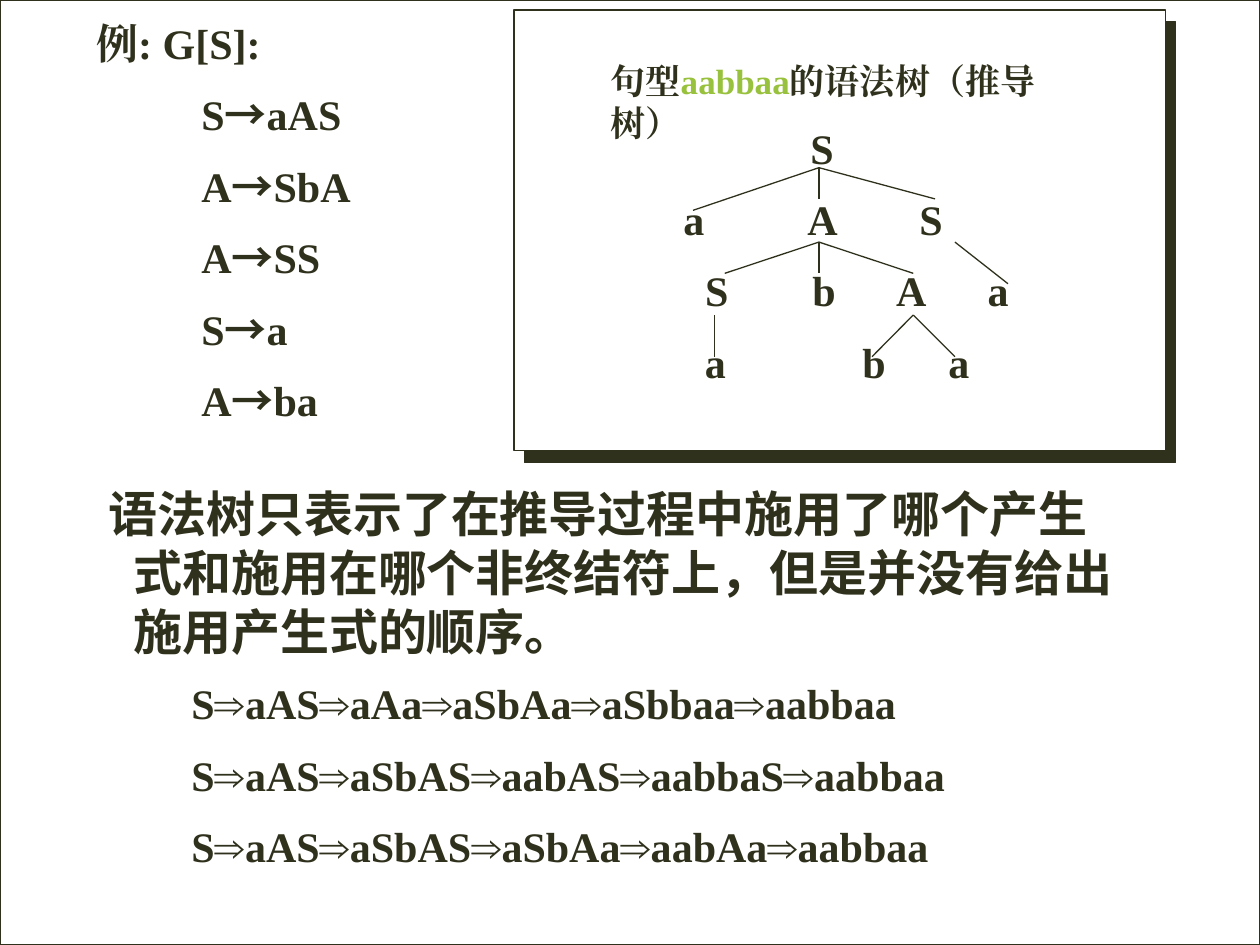
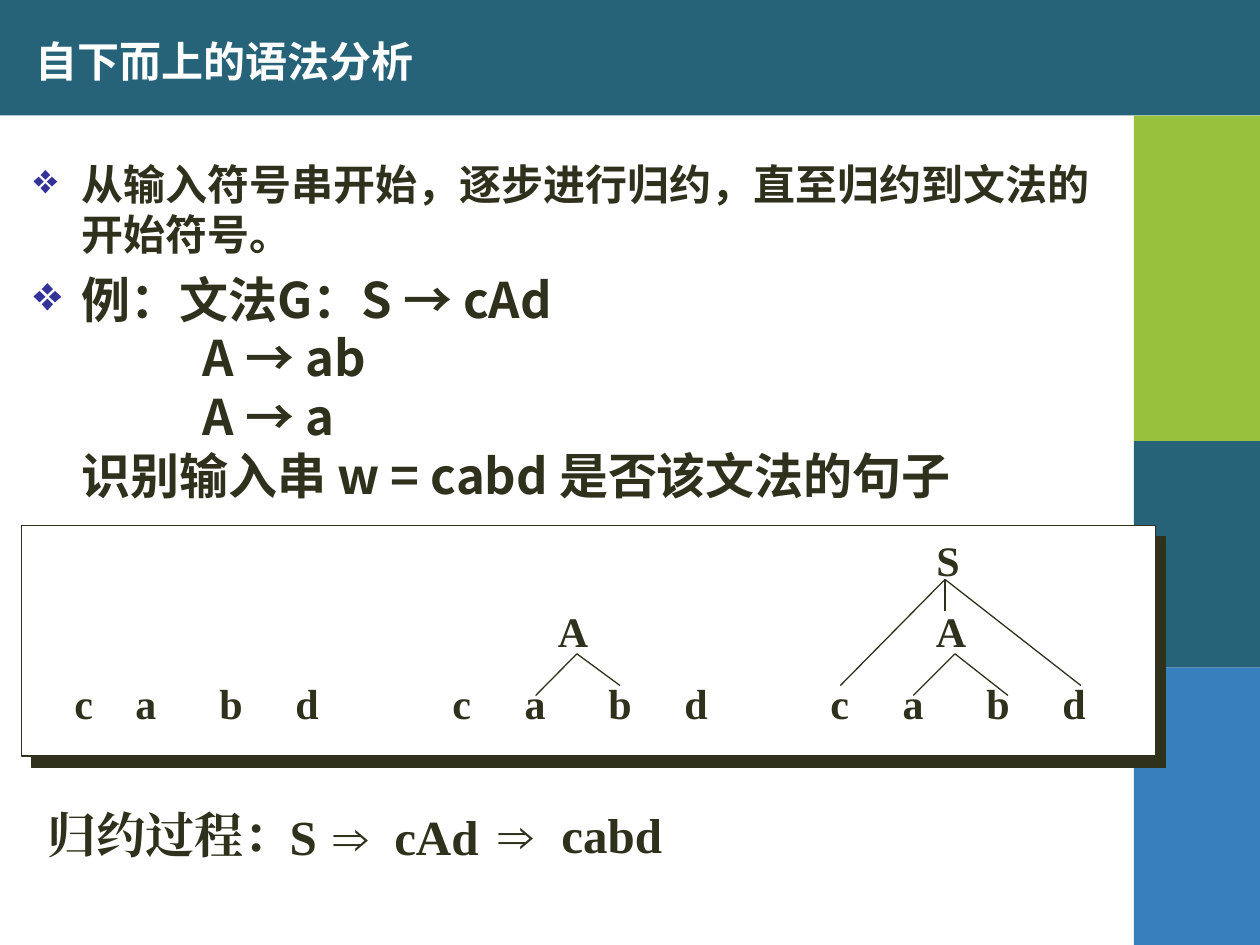
from dataclasses import dataclass

from lxml import etree
from pptx import Presentation
from pptx.dml.color import RGBColor
from pptx.enum import shapes, text
from pptx.oxml import ns
from pptx.util import Cm, Pt


@dataclass(frozen=True)
class Theme:
    ink: str = "30311D"
    white: str = "FFFFFF"
    teal: str = "266378"
    green: str = "98C13D"
    blue: str = "3780BD"
    bullet: str = "333399"
    sans: str = "Noto Sans CJK SC"
    serif: str = "Times New Roman"
    large: int = 28
    medium: int = 24
    small: int = 20
    leading: float = 1.2
    line: float = 0.75


T = Theme()
ROW = 1.44
STEP = 7.62


def rgb(value):
    return RGBColor.from_string(value)


def sub(parent, tag, **attrs):
    return etree.SubElement(parent, ns.qn(tag), attrs)


def rect(slide, left, top, width, height, fill, line=None):
    sp = slide.shapes.add_shape(
        shapes.MSO_SHAPE.RECTANGLE, Cm(left), Cm(top), Cm(width), Cm(height))
    sp.shadow.inherit = False
    sp.fill.solid()
    sp.fill.fore_color.rgb = rgb(fill)
    if line:
        sp.line.color.rgb = rgb(line)
        sp.line.width = Pt(T.line)
    else:
        sp.line.fill.background()
    return sp


def panel(slide, left, top, width, height):
    sp = rect(slide, left, top, width, height, T.white, T.ink)
    effects = sp._element.spPr.find(ns.qn("a:effectLst"))
    shadow = sub(effects, "a:outerShdw", dist=str(Pt(9)), dir=str(48 * 60000),
                 algn="ctr", rotWithShape="0")
    sub(shadow, "a:srgbClr", val=T.ink)


def edge(slide, x1, y1, x2, y2):
    cxn = slide.shapes.add_connector(
        shapes.MSO_CONNECTOR.STRAIGHT, Cm(x1), Cm(y1), Cm(x2), Cm(y2))
    cxn.line.color.rgb = rgb(T.ink)
    cxn.line.width = Pt(T.line)
    sub(cxn._element.spPr, "a:effectLst")


def textbox(slide, left, top, width, height, wrap=True):
    tf = slide.shapes.add_textbox(Cm(left), Cm(top), Cm(width), Cm(height)).text_frame
    tf.word_wrap = wrap
    return tf


def set_face(font, face):
    font.name = face
    sub(font._rPr, "a:ea", typeface=face)


def paragraph(tf, content, size, face=T.serif, color=T.ink, before=0.0,
              margin=0.0, indent=0.0, bullet=None):
    p = tf.paragraphs[0]
    if p.runs:
        p = tf.add_paragraph()
        p.space_before = Pt(size * before)
    p.line_spacing = Pt(size * T.leading)
    for part in [content] if isinstance(content, str) else content:
        p.add_run().text = part
    font = p.font
    font.size, font.bold = Pt(size), True
    font.color.rgb = rgb(color)
    set_face(font, face)
    pPr = p._p.get_or_add_pPr()
    pPr.set("marL", str(Cm(margin)))
    pPr.set("indent", str(Cm(indent)))
    if bullet:
        marks = etree.Element(ns.qn("a:pPr"))
        sub(sub(marks, "a:buClr"), "a:srgbClr", val=T.bullet)
        sub(marks, "a:buChar", char=bullet)
        for mark in list(marks):
            font._rPr.addprevious(mark)
    return p


def tree(slide, left, top, rows, branches):
    for row, nodes in enumerate(rows):
        for name, x in nodes:
            tf = textbox(slide, left + x - 0.6, top + row * ROW - 0.55, 1.2, 1)
            tf.margin_left = tf.margin_right = 0
            tf.margin_top = tf.margin_bottom = 0
            tf.vertical_anchor = text.MSO_ANCHOR.MIDDLE
            paragraph(tf, name, T.medium).alignment = text.PP_ALIGN.CENTER
    for (x, y), ends in branches:
        for end_x, end_y in ends:
            edge(slide, left + x, top + y, left + end_x, top + end_y)


def frame(slide):
    for left, top, width, height, fill in (
            (0, 0, 25.4, 2.33, T.teal),
            (22.86, 8.89, 2.54, 4.57, T.teal),
            (22.86, 13.46, 2.54, 5.59, T.blue),
            (22.86, 2.33, 2.54, 6.56, T.green)):
        rect(slide, left, top, width, height, fill)


def title(slide, content):
    tf = textbox(slide, 0.46, 0.55, 19.7, 1.35)
    tf.vertical_anchor = text.MSO_ANCHOR.MIDDLE
    paragraph(tf, content, T.medium, T.sans, T.white)


def grammar(slide, left, top):
    tf = textbox(slide, left, top, 7.82, 8.86)
    paragraph(tf, "例: G[S]:", T.medium, margin=0.42)
    for head, body in (("S", "aAS"), ("A", "SbA"), ("A", "SS"), ("S", "a"), ("A", "ba")):
        p = paragraph(tf, (head, "→", body), T.medium, before=0.5, margin=2.54)
        set_face(p.runs[1].font, T.sans)


def syntax_tree(slide, left, top):
    panel(slide, left, top, 13.13, 8.89)
    tf = textbox(slide, left + 1.7, top + 0.87, 10.16, 1.1)
    p = paragraph(tf, ("句型", "aabbaa", "的语法树（推导树）"), T.small)
    p.runs[1].font.color.rgb = rgb(T.green)
    rows = (
        (("S", 6.21),),
        (("a", 3.63), ("A", 6.22), ("S", 8.41)),
        (("S", 4.09), ("b", 6.25), ("A", 8.01), ("a", 9.76)),
        (("a", 4.06), ("b", 7.26), ("a", 8.97)))
    branches = (
        ((6.15, 0.36), ((6.15, 0.99), (3.61, 1.22), (8.49, 0.99))),
        ((6.15, 1.86), ((6.15, 2.49), (4.25, 2.49), (8.05, 2.49))),
        ((8.89, 1.86), ((9.96, 2.7),)),
        ((4.04, 3.33), ((4.04, 4.17),)),
        ((8.05, 3.33), ((7.22, 4.17), (8.89, 4.17))))
    tree(slide, left, top + 2.82, rows, branches)


def remark(slide, left, top):
    tf = textbox(slide, left, top, 21.5, 4)
    paragraph(tf, "语法树只表示了在推导过程中施用了哪个产生式和施用在哪个非终结符上，"
                  "但是并没有给出施用产生式的顺序。",
              T.large, T.sans, margin=0.97, indent=-0.5)


def derivations(slide, left, top):
    tf = textbox(slide, left, top, 19.89, 4.32)
    for line in ("S⇒aAS⇒aAa⇒aSbAa⇒aSbbaa⇒aabbaa",
                 "S⇒aAS⇒aSbAS⇒aabAS⇒aabbaS⇒aabbaa",
                 "S⇒aAS⇒aSbAS⇒aSbAa⇒aabAa⇒aabbaa"):
        paragraph(tf, line, T.medium, before=0.5)


def bottom_up_text(slide, left, top):
    tf = textbox(slide, left, top, 22.02, 7.4)
    paragraph(tf, "从输入符号串开始，逐步进行归约，直至归约到文法的开始符号。",
              T.medium, T.sans, margin=0.97, indent=-0.97, bullet="❖")
    paragraph(tf, "例：文法G：S → cAd", T.large, T.sans, before=0.2,
              margin=0.97, indent=-0.97, bullet="❖")
    for line, margin in (("A → ab", 3.41), ("A → a", 3.41),
                         ("识别输入串 w = cabd 是否该文法的句子", 0.97)):
        paragraph(tf, line, T.large, T.sans, margin=margin)


def reduction_trees(slide, left, top):
    panel(slide, left, top, 22.86, 4.65)
    leaves = (("c", 8.88), ("a", 10.36), ("b", 12.07), ("d", 13.6))
    start = (("c", 1.26), ("a", 2.51), ("b", 4.23), ("d", 5.76))
    finish = tuple((name, x + STEP) for name, x in leaves)
    rows = (
        (("S", 18.68),),
        (("A", 11.12), ("A", 11.12 + STEP)),
        start + leaves + finish)
    branches = (
        ((18.62, 0.35), ((18.62, 0.99), (16.51, 2.49), (21.36, 2.49))),
        ((18.82, 1.85), ((17.98, 2.69), (19.89, 2.69))),
        ((11.2, 1.85), ((10.37, 2.69), (12.07, 2.49))))
    tree(slide, left, top + 0.74, rows, branches)


def reduction_process(slide, left, top):
    for content, x, y, width in (
            ("归约过程：", 0, 0, 5.51), ("S", 4.88, 0.03, 1.07), ("⇒", 5.76, 0.03, 1.5),
            ("cAd", 6.99, 0.03, 2.21), ("⇒", 9.09, 0, 1.5), ("cabd", 10.36, 0, 2.54)):
        tf = textbox(slide, left + x, top + y, width, 1.45, wrap=False)
        paragraph(tf, content, T.large)


def syntax_tree_slide(prs):
    slide = prs.slides.add_slide(prs.slide_layouts[6])
    rect(slide, 0, 0, 25.4, 19.05, T.white, T.ink)
    grammar(slide, 1.27, 0.23)
    syntax_tree(slide, 10.36, 0.2)
    remark(slide, 1.47, 9.63)
    derivations(slide, 3.61, 13.54)


def bottom_up_slide(prs):
    slide = prs.slides.add_slide(prs.slide_layouts[6])
    frame(slide)
    title(slide, "自下而上的语法分析")
    bottom_up_text(slide, 0.43, 3.07)
    reduction_trees(slide, 0.43, 10.59)
    reduction_process(slide, 0.71, 16.1)


def main():
    prs = Presentation()
    prs.slide_width, prs.slide_height = Cm(25.4), Cm(19.05)
    syntax_tree_slide(prs)
    bottom_up_slide(prs)
    prs.save("out.pptx")


if __name__ == "__main__":
    main()
